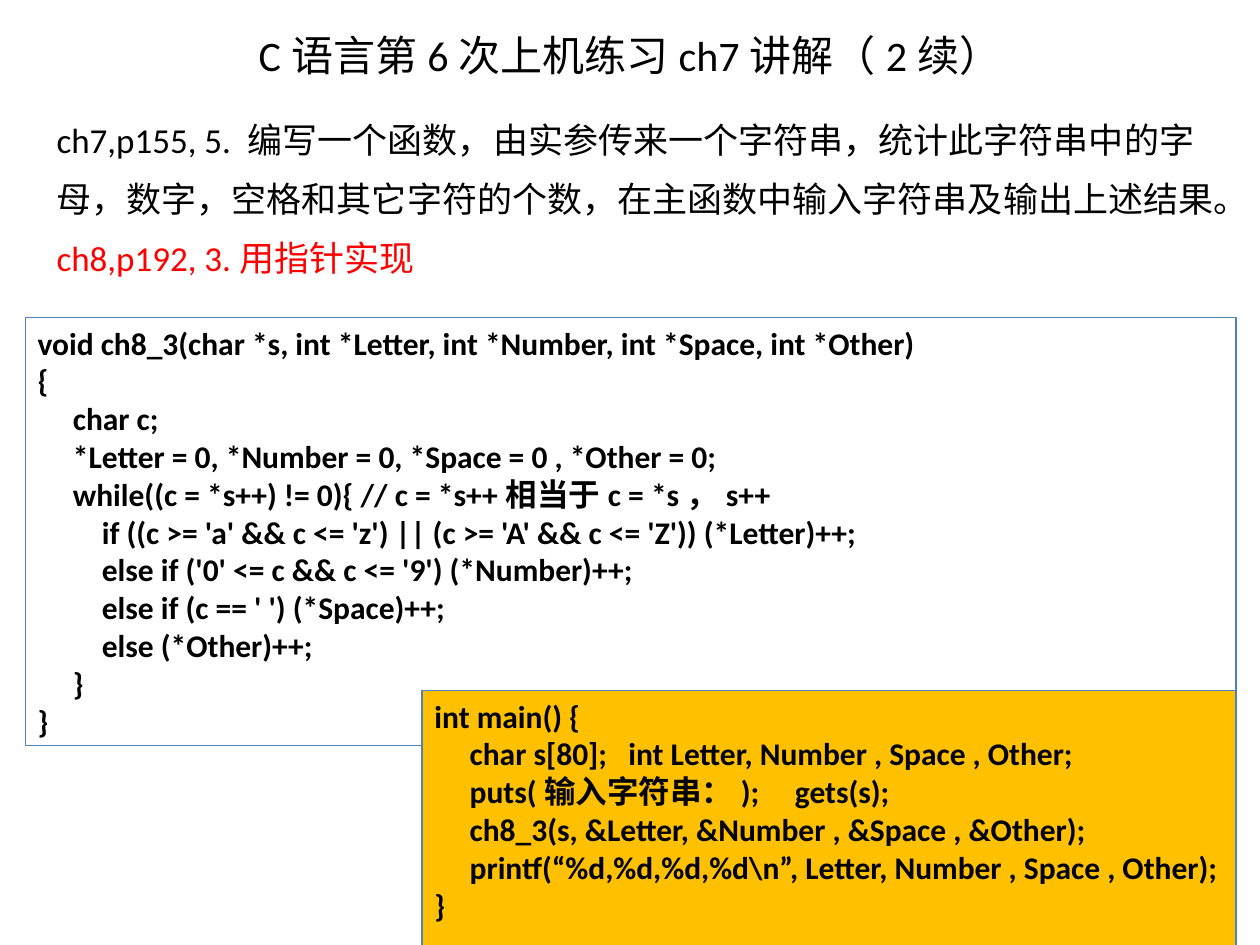
"""Builds a slide that explains a C string-counting exercise."""
from pptx import Presentation
from pptx.dml.color import RGBColor
from pptx.enum.shapes import MSO_SHAPE as Shape
from pptx.enum.text import MSO_ANCHOR as Anchor, PP_ALIGN as Align
from pptx.util import Inches, Pt

BLACK = RGBColor(0, 0, 0)
RED = RGBColor(0xFF, 0, 0)
BLUE = RGBColor(0x4F, 0x81, 0xBD)
ORANGE = RGBColor(0xFF, 0xC0, 0)

INDENTS = (0, 0.28, 0.51)

FUNCTION_CODE = [
    (0, "void ch8_3(char *s, int *Letter, int *Number, int *Space, int *Other)"),
    (0, "{"),
    (1, "char c;"),
    (1, "*Letter = 0, *Number = 0, *Space = 0 , *Other = 0;"),
    (1, "while((c = *s++) != 0){ // c = *s++相当于c = *s，s++"),
    (2, "if ((c >= 'a' && c <= 'z') || (c >= 'A' && c <= 'Z')) (*Letter)++;"),
    (2, "else if ('0' <= c && c <= '9') (*Number)++;"),
    (2, "else if (c == ' ') (*Space)++;"),
    (2, "else (*Other)++;"),
    (1, "}"),
    (0, "}"),
]
MAIN_CODE = [
    (0, "int main() {"),
    (1, "char s[80];   int Letter, Number , Space , Other;"),
    (1, "puts(输入字符串：);     gets(s);"),
    (1, "ch8_3(s, &Letter, &Number , &Space , &Other);"),
    (1, "printf(“%d,%d,%d,%d\\n”, Letter, Number , Space , Other);"),
    (0, "}"),
]
TASK = [
    ("ch7,p155, 5. 编写一个函数，由实参传来一个字符串，统计此字符串中的字母，"
     "数字，空格和其它字符的个数，在主函数中输入字符串及输出上述结果。", BLACK),
    ("ch8,p192, 3.用指针实现", RED),
]


class SlideBuilder:
    def __init__(self, page, font_name="Calibri"):
        self.page = page
        self.font_name = font_name

    def style(self, font, size, color=BLACK, bold=False):
        font.name = self.font_name
        font.size = Pt(size)
        font.bold = bold
        font.color.rgb = color

    def title(self, text, left, top, width, height):
        box = self.page.shapes.title
        box.left, box.top = Inches(left), Inches(top)
        box.width, box.height = Inches(width), Inches(height)
        frame = box.text_frame
        frame.text = text
        frame.vertical_anchor = Anchor.MIDDLE
        para = frame.paragraphs[0]
        para.alignment = Align.CENTER
        self.style(para.font, 24)

    def task(self, parts, left, top, width, height):
        box = self.page.shapes.add_textbox(
            Inches(left), Inches(top), Inches(width), Inches(height))
        box.text_frame.word_wrap = True
        para = box.text_frame.paragraphs[0]
        para.line_spacing = 1.4
        para.space_before = Pt(5)
        for text, color in parts:
            span = para.add_run()
            span.text = text
            self.style(span.font, 20, color)

    def code(self, lines, left, top, width, height, fill=None):
        box = self.page.shapes.add_shape(
            Shape.RECTANGLE,
            Inches(left), Inches(top), Inches(width), Inches(height))
        box.shadow.inherit = False
        if fill is None:
            box.fill.background()
        else:
            box.fill.solid()
            box.fill.fore_color.rgb = fill
        box.line.color.rgb = BLUE
        box.line.width = Pt(0.75)
        frame = box.text_frame
        frame.word_wrap = True
        frame.vertical_anchor = Anchor.TOP
        frame.text = "\n".join(text for _, text in lines)
        for para, (level, _) in zip(frame.paragraphs, lines):
            para.alignment = Align.LEFT
            self.style(para.font, 18, bold=True)
            properties = para._p.get_or_add_pPr()
            properties.set("marL", str(Inches(INDENTS[level])))
            properties.set("indent", "0")


def main():
    deck = Presentation()
    deck.slide_width, deck.slide_height = Inches(10), Inches(7.5)
    builder = SlideBuilder(deck.slides.add_slide(deck.slide_layouts[5]))
    builder.title("C语言第6次上机练习ch7讲解（2续）", 0.5, -0.19, 9, 1.25)
    builder.task(TASK, 0.35, 0.76, 9.45, 1.58)
    builder.code(FUNCTION_CODE, 0.2, 2.52, 9.61, 3.4)
    builder.code(MAIN_CODE, 3.35, 5.48, 6.46, 2.2, ORANGE)
    deck.save("out.pptx")


if __name__ == "__main__":
    main()
